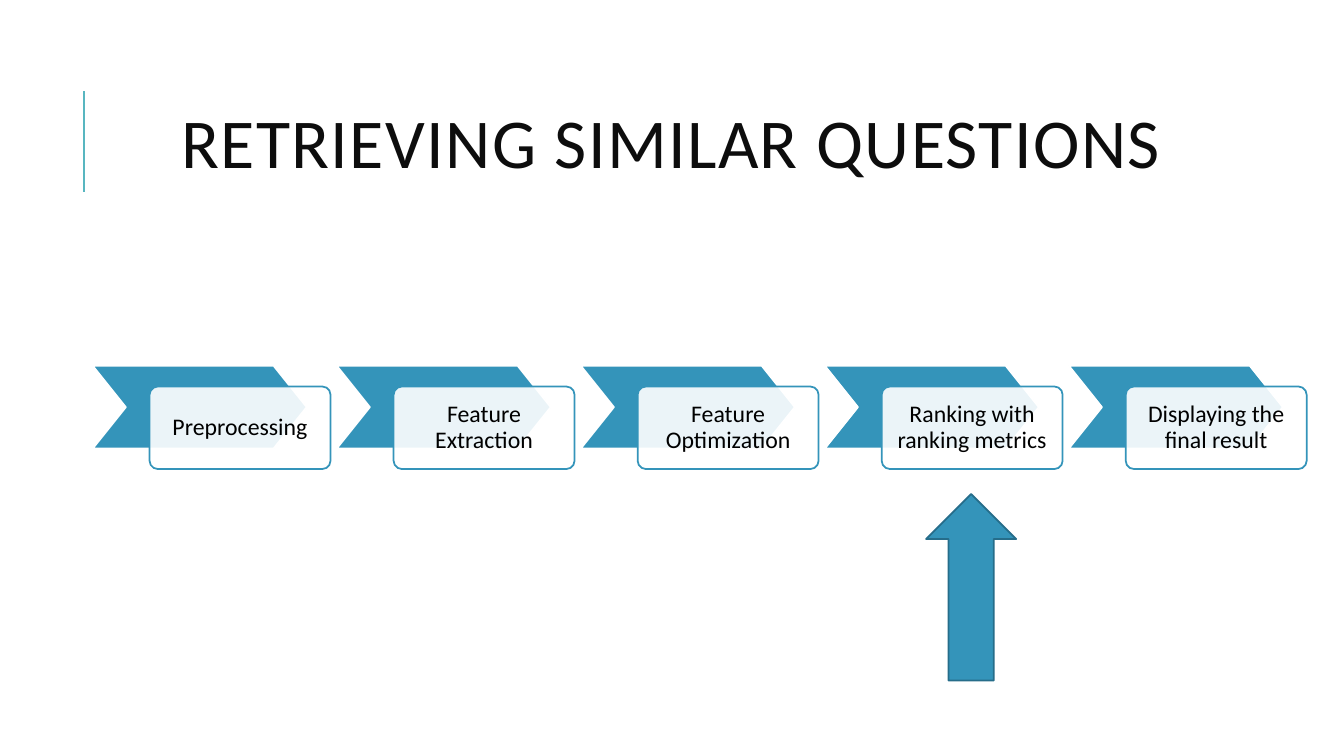
from lxml import etree
from pptx import Presentation
from pptx.dml.color import RGBColor
from pptx.enum.shapes import MSO_CONNECTOR, MSO_SHAPE
from pptx.enum.text import MSO_ANCHOR, PP_ALIGN
from pptx.oxml.ns import qn
from pptx.util import Cm, Pt

STRAIGHT = MSO_CONNECTOR.STRAIGHT
CHEVRON = MSO_SHAPE.CHEVRON
ROUNDED = MSO_SHAPE.ROUNDED_RECTANGLE
UP_ARROW = MSO_SHAPE.UP_ARROW
MIDDLE = MSO_ANCHOR.MIDDLE
CENTER = PP_ALIGN.CENTER

FONT = "Calibri"
BLUE, DARK_BLUE, TEAL = "3494BA", "266D8A", "58B6C0"
WHITE, BLACK, INK = "FFFFFF", "000000", "0D0D0D"
LINE_WIDTH = 1.25
STEPS = [
    "Preprocessing",
    "Feature Extraction",
    "Feature Optimization",
    "Ranking with ranking metrics",
    "Displaying the final result",
]


def color(hex_value):
    return RGBColor.from_string(hex_value)


def add_block(shapes, kind, x, y, w, h, fill, line):
    sp = shapes.add_shape(kind, Cm(x), Cm(y), Cm(w), Cm(h))
    sp.shadow.inherit = False
    sp.fill.solid()
    sp.fill.fore_color.rgb = color(fill)
    sp.line.color.rgb = color(line)
    sp.line.width = Pt(LINE_WIDTH)
    return sp


def set_text(tf, text, size, ink):
    tf.word_wrap = True
    tf.text = text
    p = tf.paragraphs[0]
    p.alignment = CENTER
    r = p.runs[0]
    r.font.name = FONT
    r.font.size = Pt(size)
    r.font.color.rgb = color(ink)
    return p


def add_title(s, x, y, w, h):
    rule = s.shapes.add_connector(STRAIGHT, Cm(x), Cm(y + h), Cm(x), Cm(y))
    rule.line.color.rgb = color(TEAL)
    rule.line.width = Pt(1.5)
    etree.SubElement(rule._element.spPr, qn("a:effectLst"))

    indent, drop = 0.51, 0.07
    box = s.shapes.add_textbox(
        Cm(x + indent), Cm(y + drop), Cm(w - indent), Cm(h - 2 * drop)
    )
    p = set_text(box.text_frame, "RETRIEVING SIMILAR QUESTIONS", 50, INK)
    p.runs[0].font._element.set("spc", "100")


def add_step(shapes, text, x, y, w, h):
    dx, dy = 1.43, 0.52
    box_h = h - dy
    chevron = add_block(shapes, CHEVRON, x, y, w - 0.6, box_h, BLUE, WHITE)
    chevron.adjustments[0] = 0.4

    label = add_block(shapes, ROUNDED, x + dx, y + dy, w - dx, box_h, WHITE, BLUE)
    label.adjustments[0] = 0.1
    fill = label._element.spPr.find(qn("a:solidFill"))
    etree.SubElement(fill[0], qn("a:alpha"), val="90000")

    tf = label.text_frame
    tf.margin_left = tf.margin_right = Cm(0.33)
    tf.margin_top = tf.margin_bottom = Cm(0.33)
    tf.vertical_anchor = MIDDLE
    p = set_text(tf, text, 17, BLACK)
    p.line_spacing = 0.9


def add_process(s, x, y, w, h):
    gap = 0.16
    step_w = (w - gap * (len(STEPS) - 1)) / len(STEPS)
    group = s.shapes.add_group_shape()
    for i, text in enumerate(STEPS):
        add_step(group.shapes, text, x + i * (step_w + gap), y, step_w, h)


def add_pointer(s, x, y, w, h):
    add_block(s.shapes, UP_ARROW, x, y, w, h, BLUE, DARK_BLUE)


def main():
    prs = Presentation()
    prs.slide_width, prs.slide_height = Cm(33.87), Cm(19.05)
    s = prs.slides.add_slide(prs.slide_layouts[6])
    add_title(s, 2.11, 2.29, 29.11, 2.54)
    add_process(s, 2.34, 9.22, 30.59, 2.6)
    add_pointer(s, 23.34, 12.45, 2.27, 4.7)
    prs.save("out.pptx")


if __name__ == "__main__":
    main()
